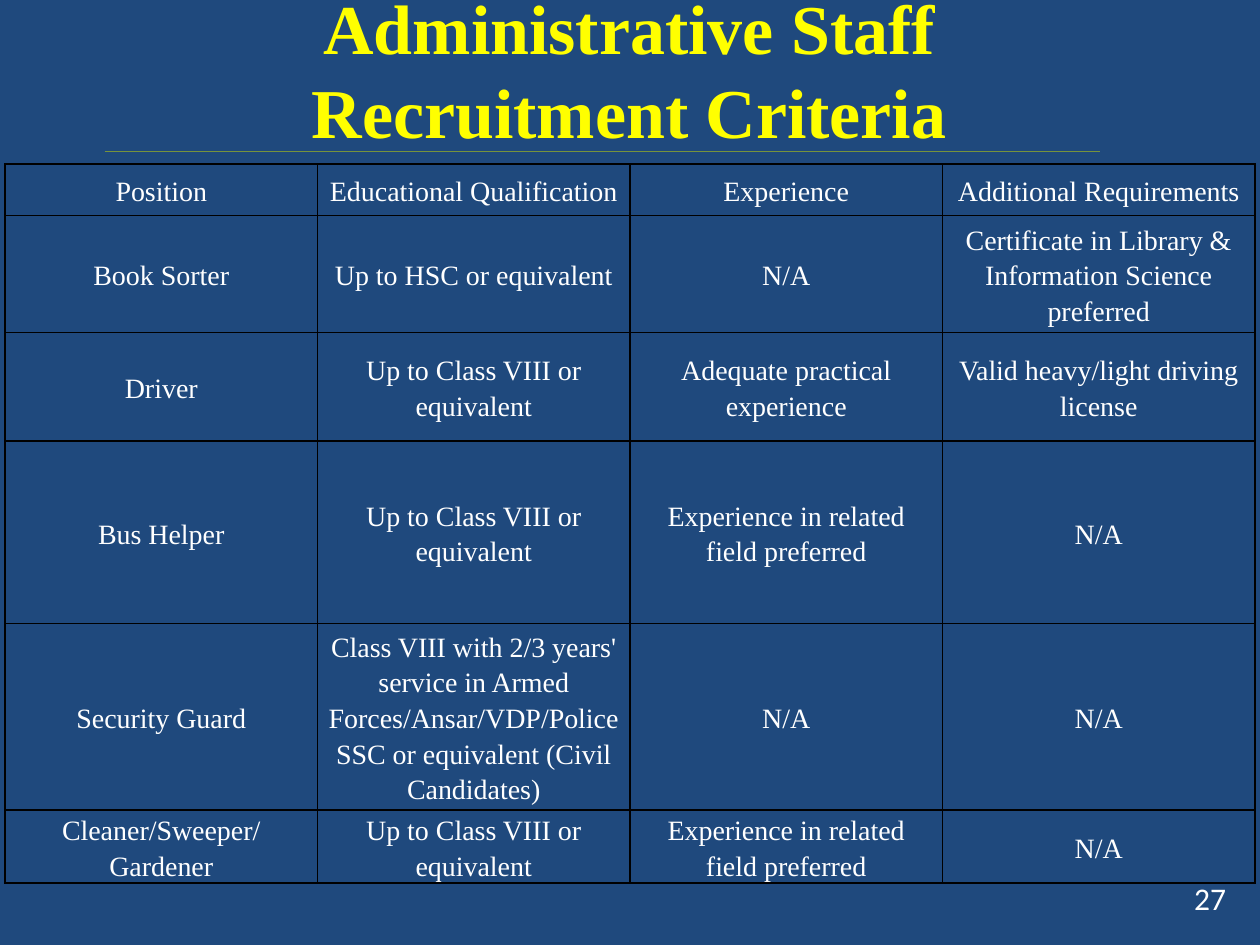
import pptx
import pptx.util
import pptx.dml.color
import pptx.enum.shapes
import pptx.enum.text
import pptx.oxml
import pptx.oxml.ns
from lxml import etree

Inches = pptx.util.Inches
Pt = pptx.util.Pt
ALIGN = pptx.enum.text.PP_ALIGN
MIDDLE = pptx.enum.text.MSO_ANCHOR.MIDDLE

COLORS = {
    "background": "1F497D",
    "title": "FFFF00",
    "text": "FFFFFF",
    "rule": "77933C",
    "border": "000000",
}
SERIF = "Times New Roman"
HEADERS = ["Position", "Educational Qualification", "Experience", "Additional Requirements"]
CLASS_VIII = "Up to Class VIII or equivalent"
RELATED_FIELD = "Experience in related field preferred"
GUARD = (
    "Class VIII with 2/3 years' service in Armed Forces/Ansar/VDP/Police\n"
    "SSC or equivalent (Civil Candidates)"
)
POSITIONS = [
    ["Book Sorter", "Up to HSC or equivalent", "N/A",
     "Certificate in Library & Information Science preferred"],
    ["Driver", CLASS_VIII, "Adequate practical experience", "Valid heavy/light driving license"],
    ["Bus Helper", CLASS_VIII, RELATED_FIELD, "N/A"],
    ["Security Guard", GUARD, "N/A", "N/A"],
    ["Cleaner/Sweeper/Gardener", CLASS_VIII, RELATED_FIELD, "N/A"],
]
ROW_HEIGHTS = [0.41, 0.93, 0.86, 1.45, 1.48, 0.58]
LINE_PITCH = Pt(20.4)


def rgb(name):
    return pptx.dml.color.RGBColor.from_string(COLORS[name])


def write(tf, text, size, font, color, align, bold=False):
    tf.word_wrap = True
    p = tf.paragraphs[0]
    p.text = text
    p.alignment = align
    for r in p.runs:
        r.font.size = Pt(size)
        r.font.name = font
        r.font.bold = bold
        r.font.color.rgb = rgb(color)
    return p


def add_text(s, box, *style):
    sp = s.shapes.add_textbox(*map(Inches, box))
    sp.text_frame.vertical_anchor = MIDDLE
    write(sp.text_frame, *style)


def add_rule(s, left, top, width):
    line = s.shapes.add_connector(
        pptx.enum.shapes.MSO_CONNECTOR.STRAIGHT,
        Inches(left), Inches(top), Inches(left + width), Inches(top))
    line.line.color.rgb = rgb("rule")
    line.line.width = Pt(0.75)
    etree.SubElement(line._element.spPr, pptx.oxml.ns.qn("a:effectLst"))


def add_borders(cell):
    tcPr = cell._tc.get_or_add_tcPr()
    for i, side in enumerate(("lnL", "lnR", "lnT", "lnB")):
        tcPr.insert(i, pptx.oxml.parse_xml(
            f'<a:{side} {pptx.oxml.ns.nsdecls("a")} w="{Pt(1)}"><a:solidFill>'
            f'<a:srgbClr val="{COLORS["border"]}"/></a:solidFill></a:{side}>'))


def add_criteria_table(s, left, top, width):
    rows = [HEADERS] + POSITIONS
    table = s.shapes.add_table(
        len(rows), len(HEADERS), Inches(left), Inches(top),
        Inches(width), Inches(sum(ROW_HEIGHTS))).table
    table.first_row = False
    table.horz_banding = False
    for column in table.columns:
        column.width = Inches(width / len(HEADERS))
    for i, (height, row) in enumerate(zip(ROW_HEIGHTS, rows)):
        table.rows[i].height = Inches(height)
        for j, text in enumerate(row):
            cell = table.cell(i, j)
            cell.fill.background()
            cell.vertical_anchor = MIDDLE
            cell.margin_left = cell.margin_right = Inches(0.07)
            cell.margin_top = cell.margin_bottom = 0
            p = write(cell.text_frame, text, 16, SERIF, "text", ALIGN.CENTER)
            p.line_spacing = LINE_PITCH
            add_borders(cell)


def main():
    prs = pptx.Presentation()
    prs.slide_width = Inches(10)
    prs.slide_height = Inches(7.5)
    s = prs.slides.add_slide(prs.slide_layouts[6])
    s.background.fill.solid()
    s.background.fill.fore_color.rgb = rgb("background")
    add_rule(s, 0.83, 1.2, 7.9)
    add_text(s, (7.5, 6.93, 2.33, 0.4), "27", 18, "Calibri", "text", ALIGN.RIGHT)
    add_text(s, (1.08, 0.08, 7.83, 0.92), "Administrative Staff Recruitment Criteria",
             40, SERIF, "title", ALIGN.CENTER, True)
    add_criteria_table(s, 0.04, 1.3, 9.92)
    prs.save("out.pptx")


if __name__ == "__main__":
    main()
